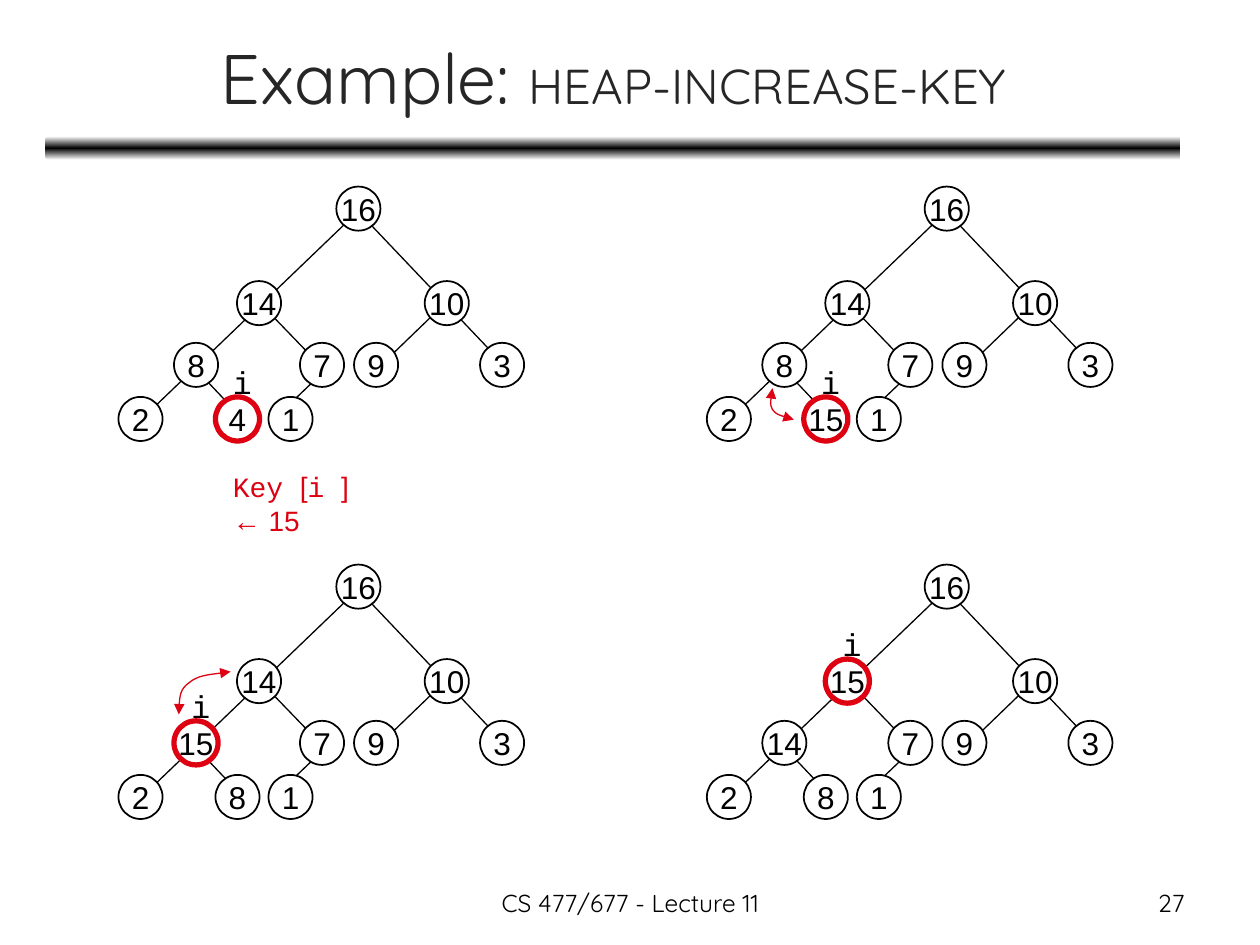
from copy import deepcopy
from lxml.etree import SubElement
from pptx import Presentation
from pptx.dml.color import RGBColor
from pptx.enum.shapes import MSO_CONNECTOR, MSO_SHAPE
from pptx.enum.text import MSO_ANCHOR, PP_ALIGN
from pptx.oxml.ns import qn
from pptx.util import Pt

BLACK = RGBColor(0, 0, 0)
WHITE = RGBColor(255, 255, 255)
RED = RGBColor(0xDD, 0x01, 0x11)
GREY = RGBColor(0x26, 0x26, 0x26)
SANS, MONO, HEADING = "Arial", "Courier New", "Quicksand"

NODE_SIZE = 25.2
NODE_SPOTS = [
    (124.5, 0), (67.7, 54), (175, 54),
    (31.7, 89.3), (103.7, 89.3), (134.6, 89.3), (206.6, 89.3),
    (0, 120.2), (55.4, 120.2), (85.7, 120.2),
]
EDGES = [
    (89.3, 132.5, 121.7, 101.5), (147.6, 104.4, 187.9, 65.5),
    (74.2, 136.1, 36, 95.8), (117.4, 104.4, 78.5, 64.1),
    (225.4, 107.3, 129.6, 6.5), (13.7, 132.5, 139.7, 11.5),
]
LEFT, RIGHT, TOP, BOTTOM = 67.7, 403.9, 106.6, 322.6
TREES = [
    (LEFT, TOP, [16, 14, 10, 8, 7, 9, 3, 2, 4, 1], 8),
    (RIGHT, TOP, [16, 14, 10, 8, 7, 9, 3, 2, 15, 1], 8),
    (LEFT, BOTTOM, [16, 14, 10, 15, 7, 9, 3, 2, 8, 1], 3),
    (RIGHT, BOTTOM, [16, 15, 10, 14, 7, 9, 3, 2, 8, 1], 1),
]
SWAPS = [
    [(441.4, 221.8), (440.6, 226.8), (439.9, 231.1), (441.4, 234),
     (443.5, 236.9), (448.6, 238.3), (453.6, 239.8)],
    [(102.2, 408.2), (102.2, 401), (103, 393.8), (108, 390.2),
     (113, 385.9), (122.4, 385.2), (131.8, 383.8)],
]


def add_run(p, text, size=18, font=SANS, color=BLACK):
    r = p.add_run()
    r.text = text
    r.font.size = Pt(size)
    r.font.name = font
    r.font.color.rgb = color


class Deck:
    def __init__(self, width, height):
        self.prs = Presentation()
        self.prs.slide_width, self.prs.slide_height = Pt(width), Pt(height)
        self.s = self.prs.slides.add_slide(self.prs.slide_layouts[6])

    def text(self, x, y, w, h, runs, align=PP_ALIGN.LEFT,
             anchor=MSO_ANCHOR.TOP, wrap=True):
        tf = self.s.shapes.add_textbox(Pt(x), Pt(y), Pt(w), Pt(h)).text_frame
        tf.word_wrap = wrap
        tf.vertical_anchor = anchor
        p = tf.paragraphs[0]
        p.alignment = align
        for text, style in runs:
            add_run(p, text, **style)

    def bar(self, x, y, w, h):
        sp = self.s.shapes.add_shape(
            MSO_SHAPE.ROUNDED_RECTANGLE, Pt(x), Pt(y), Pt(w), Pt(h))
        sp.shadow.inherit = False
        sp.line.fill.background()
        sp.fill.gradient()
        sp.fill.gradient_angle = 90
        stops = sp._element.spPr.find(".//" + qn("a:gsLst"))
        stops.insert(1, deepcopy(stops[0]))
        for stop, position, color in zip(
                sp.fill.gradient_stops, (0, 0.5, 1), (WHITE, BLACK, WHITE)):
            stop.position = position
            stop.color.rgb = color

    def edge(self, x1, y1, x2, y2):
        c = self.s.shapes.add_connector(
            MSO_CONNECTOR.STRAIGHT, Pt(x1), Pt(y1), Pt(x2), Pt(y2))
        c.line.color.rgb = BLACK
        c.line.width = Pt(0.75)
        SubElement(c._element.spPr, qn("a:effectLst"))

    def node(self, x, y, key, marked):
        sp = self.s.shapes.add_shape(
            MSO_SHAPE.OVAL, Pt(x), Pt(y), Pt(NODE_SIZE), Pt(NODE_SIZE))
        sp.shadow.inherit = False
        sp.fill.solid()
        sp.fill.fore_color.rgb = WHITE
        sp.line.color.rgb = RED if marked else BLACK
        sp.line.width = Pt(3 if marked else 1)
        tf = sp.text_frame
        tf.word_wrap = False
        tf.vertical_anchor = MSO_ANCHOR.MIDDLE
        tf.margin_left = tf.margin_right = tf.margin_top = tf.margin_bottom = 0
        p = tf.paragraphs[0]
        p.alignment = PP_ALIGN.CENTER
        add_run(p, str(key))

    def tree(self, x, y, keys, marked):
        for x1, y1, x2, y2 in EDGES:
            self.edge(x + x1, y + y1, x + x2, y + y2)
        for i, ((dx, dy), key) in enumerate(zip(NODE_SPOTS, keys)):
            self.node(x + dx, y + dy, key, i == marked)
        dx, dy = NODE_SPOTS[marked]
        self.text(x + dx + 2.9, y + dy - 22.8, 18.7, 28.8,
                  [("i", dict(font=MONO))], wrap=False)

    def swap_arrow(self, points):
        points = [(Pt(x), Pt(y)) for x, y in points]
        builder = self.s.shapes.build_freeform(*points[0])
        builder.add_line_segments(points[1:], close=False)
        sp = builder.convert_to_shape()
        sp.shadow.inherit = False
        sp.fill.background()
        sp.line.color.rgb = RED
        sp.line.width = Pt(0.75)
        outline = sp._element.spPr.find(".//" + qn("a:path"))
        segments = outline.findall(qn("a:lnTo"))
        for i in range(0, len(segments), 3):
            curve = SubElement(outline, qn("a:cubicBezTo"))
            for segment in segments[i:i + 3]:
                curve.append(segment[0])
                outline.remove(segment)
        ln = sp.line._get_or_add_ln()
        for end in ("a:headEnd", "a:tailEnd"):
            SubElement(ln, qn(end), type="triangle")


deck = Deck(720, 540)
deck.bar(26, 77.9, 648.7, 13.5)
deck.text(26.6, 7.9, 648, 71.3,
          [("Example: ", dict(size=40, font=HEADING, color=GREY)),
           ("HEAP-INCREASE-KEY", dict(size=28, font=HEADING, color=GREY))],
          align=PP_ALIGN.CENTER, anchor=MSO_ANCHOR.MIDDLE)
for tree in TREES:
    deck.tree(*tree)
for points in SWAPS:
    deck.swap_arrow(points)
deck.text(126, 265, 99.4, 26.6,
          [(text, dict(size=16, font=font, color=RED)) for text, font in
           (("Key ", MONO), ("[", SANS), ("i ", MONO), ("] \u2190 15", SANS))])
footer = dict(size=14, font=HEADING)
deck.text(246.2, 504, 228.2, 25.2, [("CS 477/677 - Lecture 11", footer)],
          align=PP_ALIGN.CENTER)
deck.text(516.2, 504, 167.8, 25.2, [("27", footer)], align=PP_ALIGN.RIGHT)
deck.prs.save("out.pptx")
